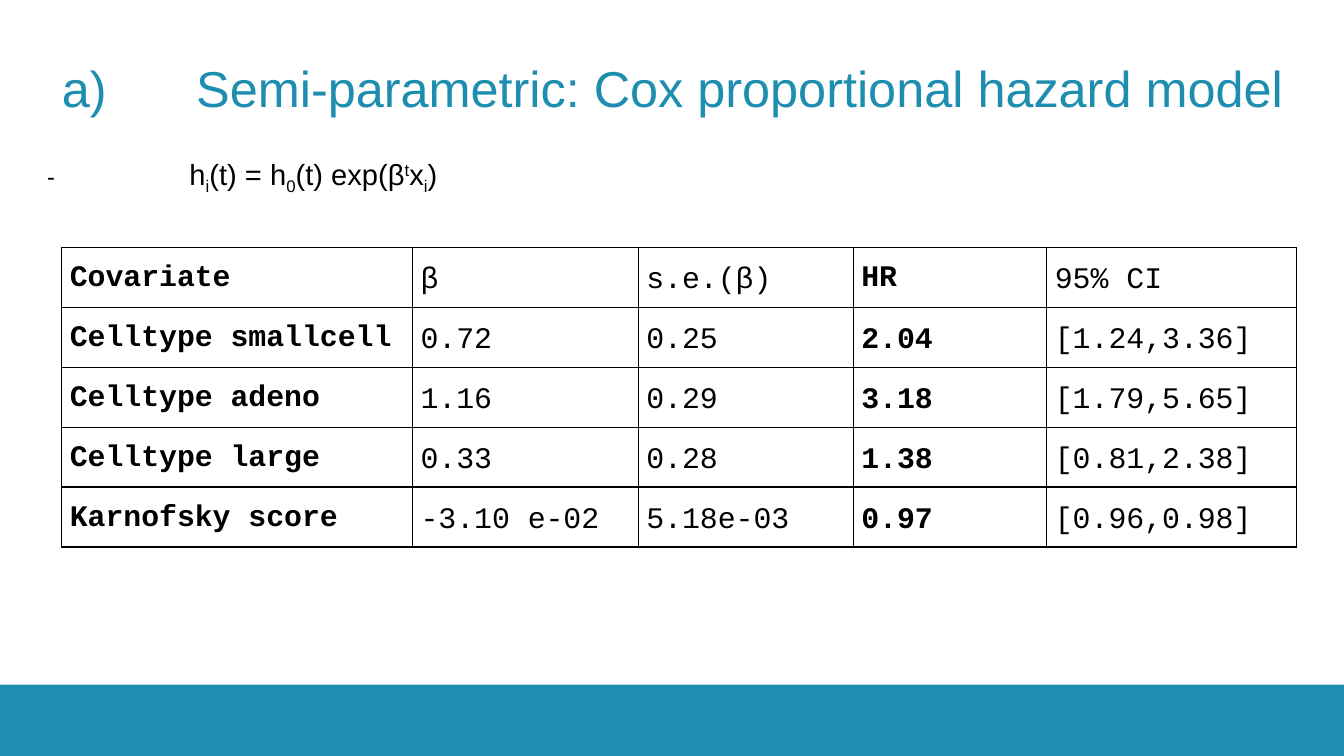
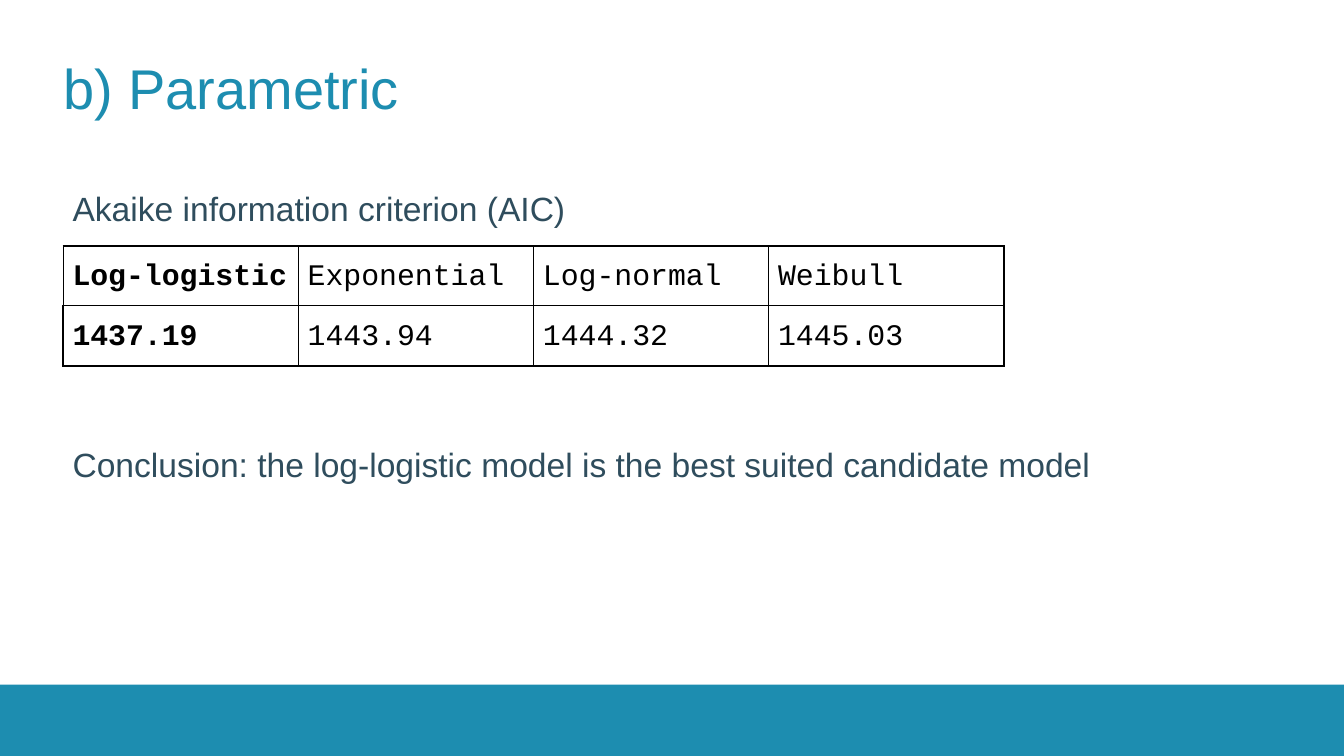
from dataclasses import dataclass

from lxml import etree
from pptx import Presentation
from pptx.dml.color import RGBColor
from pptx.enum.shapes import MSO_SHAPE
from pptx.enum.text import MSO_ANCHOR, PP_ALIGN
from pptx.oxml.ns import qn
from pptx.util import Inches, Pt

RECT = MSO_SHAPE.RECTANGLE
TOP, MIDDLE, BOTTOM = MSO_ANCHOR.TOP, MSO_ANCHOR.MIDDLE, MSO_ANCHOR.BOTTOM
JUSTIFY = PP_ALIGN.JUSTIFY


@dataclass(frozen=True)
class Theme:
    teal: str = "1D8DB0"
    slate: str = "2F4D5D"
    black: str = "000000"
    sans: str = "Arial"
    mono: str = "Courier New"
    wide: float = 27
    title: float = 30
    body: float = 18
    cell: float = 16
    math: float = 15.6
    dash: float = 12.6
    rule: float = 0.75
    lead: float = 1.15


THEME = Theme()
WIDTH = 10
HEIGHT = WIDTH * 9 / 16
BAND = 0.53

COX = [
    ["Covariate", "β", "s.e.(β)", "HR", "95% CI"],
    ["Celltype smallcell", "0.72", "0.25", "2.04", "[1.24,3.36]"],
    ["Celltype adeno", "1.16", "0.29", "3.18", "[1.79,5.65]"],
    ["Celltype large", "0.33", "0.28", "1.38", "[0.81,2.38]"],
    ["Karnofsky score", "-3.10 e-02", "5.18e-03", "0.97", "[0.96,0.98]"],
]
AIC = [
    ["Log-logistic", "Exponential", "Log-normal", "Weibull"],
    ["1437.19", "1443.94", "1444.32", "1445.03"],
]
# Text and baseline shift in percent
HAZARD = [(" h", 0), ("i", -25), ("(t) = h", 0), ("0", -25), ("(t) exp(β", 0),
          ("t", 30), ("x", 0), ("i", -25), (")", 0)]


def add_run(para, text, size, color, face=THEME.sans, bold=False, shift=0):
    run = para.add_run()
    run.text = text
    font = run.font
    font.size, font.name, font.bold = Pt(size), face, bold
    font.color.rgb = RGBColor.from_string(color)
    if shift:
        run._r.get_or_add_rPr().set("baseline", str(shift * 1000))


def add_tab(para, pos):
    """Set a left tab stop at pos inches."""
    tabs = etree.SubElement(para._p.get_or_add_pPr(), qn("a:tabLst"))
    etree.SubElement(tabs, qn("a:tab"), pos=str(Inches(pos)), algn="l")


def set_pad(item, left, top, right, bottom):
    item.margin_left, item.margin_top = Inches(left), Inches(top)
    item.margin_right, item.margin_bottom = Inches(right), Inches(bottom)


def add_text(slide, box, pad, anchor):
    """Add an empty text box and return its first paragraph."""
    frame = slide.shapes.add_textbox(*map(Inches, box)).text_frame
    frame.word_wrap = True
    frame.vertical_anchor = anchor
    set_pad(frame, *pad)
    return frame.paragraphs[0]


def add_title(slide, box, text, size):
    para = add_text(slide, box, (0, 0, 0, 0), MIDDLE)
    add_tab(para, 1)
    add_run(para, text, size, THEME.teal)


def add_body(slide, box, text):
    para = add_text(slide, box, (0.07, 0.04, 0.07, 0.04), TOP)
    para.space_before = Pt(8)
    add_run(para, text, THEME.body, THEME.slate)


def add_math(slide, box):
    para = add_text(slide, box, (0, 0, 0, 0.24), MIDDLE)
    para.alignment, para.line_spacing = JUSTIFY, THEME.lead
    add_tab(para, 1)
    add_run(para, "-\t", THEME.dash, THEME.black)
    for text, shift in HAZARD:
        add_run(para, text, THEME.math, THEME.black, shift=shift)


def add_edges(cell, widths):
    """Draw cell borders; widths maps each side tag to points."""
    props = cell._tc.get_or_add_tcPr()
    for tag, width in widths.items():
        line = etree.SubElement(props, qn(f"a:{tag}"), w=str(Pt(width)))
        fill = etree.SubElement(line, qn("a:solidFill"))
        etree.SubElement(fill, qn("a:srgbClr"), val=THEME.black)


def add_grid(slide, left, top, cols, tall, rows, bold, pad, low=False,
             rim=THEME.rule):
    """Add a table: bold columns, low-set values, rim as last row's outer line.

    Rows are at least tall inches high and grow to fit their text.
    """
    box = map(Inches, (left, top, sum(cols), tall * len(rows)))
    table = slide.shapes.add_table(len(rows), len(cols), *box).table
    table.first_row = table.horz_banding = False
    for col, width in zip(table.columns, cols):
        col.width = Inches(width)
    end = len(cols) - 1
    for r, row in enumerate(rows):
        last = r == len(rows) - 1
        for c, text in enumerate(row):
            cell = table.cell(r, c)
            outer = {"lnL": c == 0, "lnR": c == end, "lnT": False, "lnB": True}
            add_edges(cell, {tag: rim if last and out else THEME.rule
                             for tag, out in outer.items()})
            cell.fill.background()
            set_pad(cell, pad, 0.07, pad, 0.07)
            strong = c in bold
            sink = low and c > 0 and not (strong and r == 0)
            cell.vertical_anchor = BOTTOM if sink else TOP
            para = cell.text_frame.paragraphs[0]
            para.alignment, para.line_spacing = JUSTIFY, THEME.lead
            add_run(para, text, THEME.cell, THEME.black, THEME.mono, strong)


def add_slide(deck):
    """Add a blank slide with the band along its foot."""
    slide = deck.slides.add_slide(deck.slide_layouts[6])
    box = map(Inches, (0, HEIGHT - BAND, WIDTH, BAND))
    band = slide.shapes.add_shape(RECT, *box)
    band.shadow.inherit = False
    band.fill.solid()
    band.fill.fore_color.rgb = RGBColor.from_string(THEME.teal)
    band.line.fill.background()
    return slide


def build_cox(deck):
    slide = add_slide(deck)
    left = 0.46
    add_title(slide, (left, 0.18, 9.29, 0.94),
              "a)\tSemi-parametric: Cox proportional hazard model", THEME.wide)
    add_grid(slide, left, 1.84, [2.61, 1.68, 1.6, 1.44, 1.86], 0.31, COX,
             bold={0, 3}, pad=0.06, low=True)
    add_math(slide, (0.35, 0.94, 9.29, 0.94))


def build_aic(deck):
    slide = add_slide(deck)
    left, width = 0.47, 9.06
    add_title(slide, (left, 0.18, width, 0.94), "b) Parametric", THEME.title)
    add_body(slide, (left, 1.36, width, 0.63),
             "Akaike information criterion (AIC)")
    add_grid(slide, left, 1.83, [1.75] * 4, 0.22, AIC, bold={0}, pad=0.07,
             rim=1)
    add_body(slide, (left, 3.26, width, 0.63),
             "Conclusion: the log-logistic model is the best suited candidate model")


def main():
    deck = Presentation()
    deck.slide_width, deck.slide_height = Inches(WIDTH), Inches(HEIGHT)
    build_cox(deck)
    build_aic(deck)
    deck.save("out.pptx")


if __name__ == "__main__":
    main()
